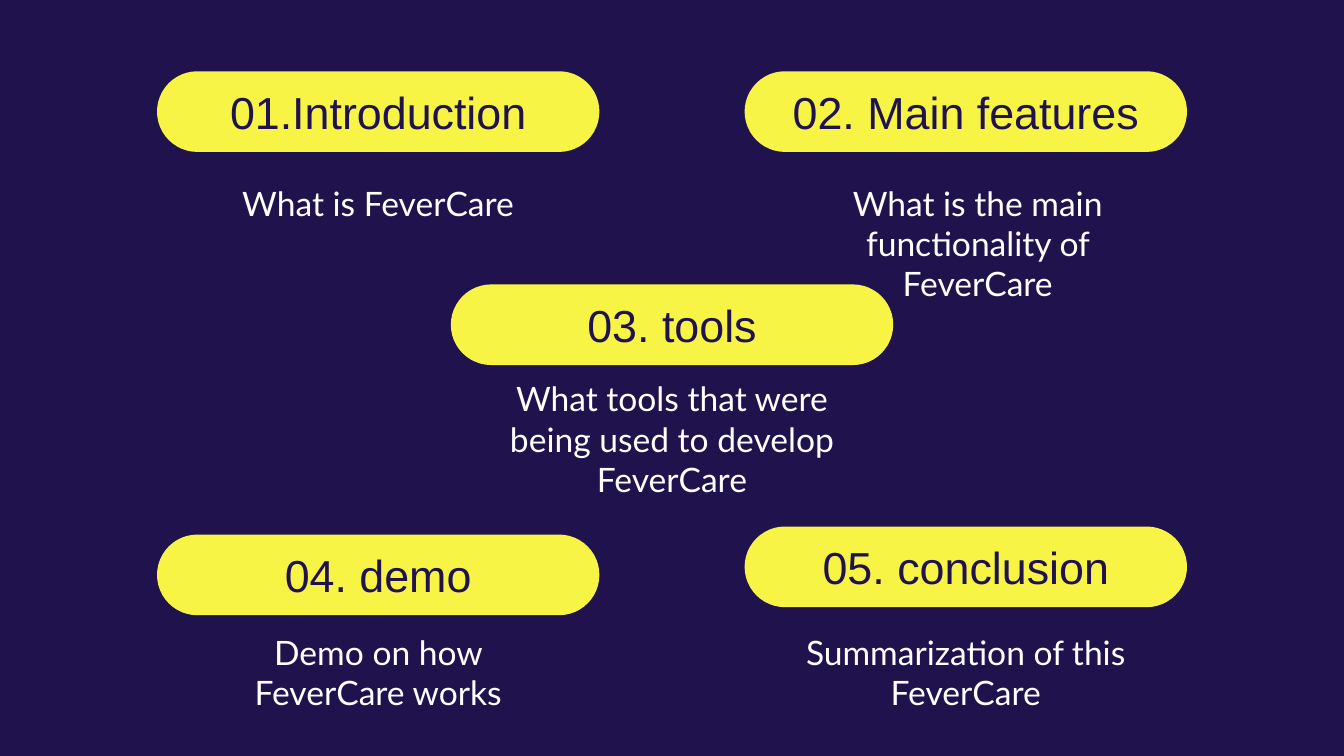
from dataclasses import dataclass

from pptx import Presentation
from pptx.dml.color import RGBColor as RGB
from pptx.enum.shapes import MSO_SHAPE as SHAPE
from pptx.enum.text import MSO_ANCHOR as ANCHOR, MSO_AUTO_SIZE as AUTO, PP_ALIGN as ALIGN
from pptx.util import Pt


@dataclass(frozen=True)
class TextStyle:
    font: str
    size: int
    color: RGB
    anchor: ANCHOR


@dataclass(frozen=True)
class Theme:
    back: RGB = RGB(0x20, 0x12, 0x4D)
    pill: RGB = RGB(0xF8, 0xF4, 0x46)
    heading: TextStyle = TextStyle("Arial", 24, RGB(0x20, 0x12, 0x4D), ANCHOR.MIDDLE)
    detail: TextStyle = TextStyle("Lato", 18, RGB(0xFF, 0xFF, 0xFF), ANCHOR.TOP)


@dataclass(frozen=True)
class Topic:
    heading: str
    detail: str
    center: float
    top: float
    detail_top: float
    detail_shift: float = 0


THEME = Theme()
WIDTH, HEIGHT = 720, 405
PILL_W, PILL_H = 237, 43.2
HEADING_W, HEADING_H = 209.5, 34.6
DETAIL_W, DETAIL_H = 198, 46
INSET = 7.2

# Columns mirror each other about the middle of the slide
MIDDLE = WIDTH / 2
LEFT, RIGHT = MIDDLE - 157.4, MIDDLE + 157.4

TOPICS = [
    Topic("01.Introduction", "What is FeverCare", LEFT, 38.2, 90.7),
    Topic("02. Main features", "What is the main functionality of FeverCare",
          RIGHT, 38.2, 90.7, 6.4),
    Topic("03. tools", "What tools that were being used to develop FeverCare",
          MIDDLE, 152.4, 195.4),
    Topic("04. demo", "Demo on how FeverCare works", LEFT, 286.4, 331.2),
    Topic("05. conclusion", "Summarization of this FeverCare", RIGHT, 282.1, 331.2),
]


def add_pill(s, center: float, top: float) -> None:
    sp = s.shapes.add_shape(SHAPE.ROUNDED_RECTANGLE, Pt(center - PILL_W / 2), Pt(top),
                            Pt(PILL_W), Pt(PILL_H))
    sp.adjustments[0] = 0.5
    sp.shadow.inherit = False
    sp.fill.solid()
    sp.fill.fore_color.rgb = THEME.pill
    sp.line.fill.background()


def add_text(s, text: str, center: float, top: float, width: float, height: float,
             style: TextStyle) -> None:
    s.shapes.clone_placeholder(s.slide_layout.placeholders[1])
    sp = s.shapes[-1]
    box = {"left": center - width / 2, "top": top, "width": width, "height": height}
    for name, value in box.items():
        setattr(sp, name, Pt(value))
    tf = sp.text_frame
    frame = {"word_wrap": True, "auto_size": AUTO.NONE, "vertical_anchor": style.anchor}
    frame |= {f"margin_{side}": Pt(INSET) for side in ("left", "top", "right", "bottom")}
    for name, value in frame.items():
        setattr(tf, name, value)
    p = tf.paragraphs[0]
    for name, value in {"alignment": ALIGN.CENTER, "space_before": Pt(0),
                        "space_after": Pt(0), "line_spacing": 1.0}.items():
        setattr(p, name, value)
    r = p.add_run()
    r.text = text
    for name, value in {"name": style.font, "size": Pt(style.size), "bold": False}.items():
        setattr(r.font, name, value)
    r.font.color.rgb = style.color


def add_topic(s, topic: Topic) -> None:
    add_pill(s, topic.center, topic.top)
    add_text(s, topic.heading, topic.center, topic.top + (PILL_H - HEADING_H) / 2,
             HEADING_W, HEADING_H, THEME.heading)
    add_text(s, topic.detail, topic.center + topic.detail_shift, topic.detail_top,
             DETAIL_W, DETAIL_H, THEME.detail)


# Slide with the subtitle layout; its placeholders are added per topic
prs = Presentation()
prs.slide_width, prs.slide_height = Pt(WIDTH), Pt(HEIGHT)
s = prs.slides.add_slide(prs.slide_layouts[0])
for sp in list(s.placeholders):
    sp.element.getparent().remove(sp.element)
s.background.fill.solid()
s.background.fill.fore_color.rgb = THEME.back

# Agenda
for topic in TOPICS:
    add_topic(s, topic)

prs.save("out.pptx")
